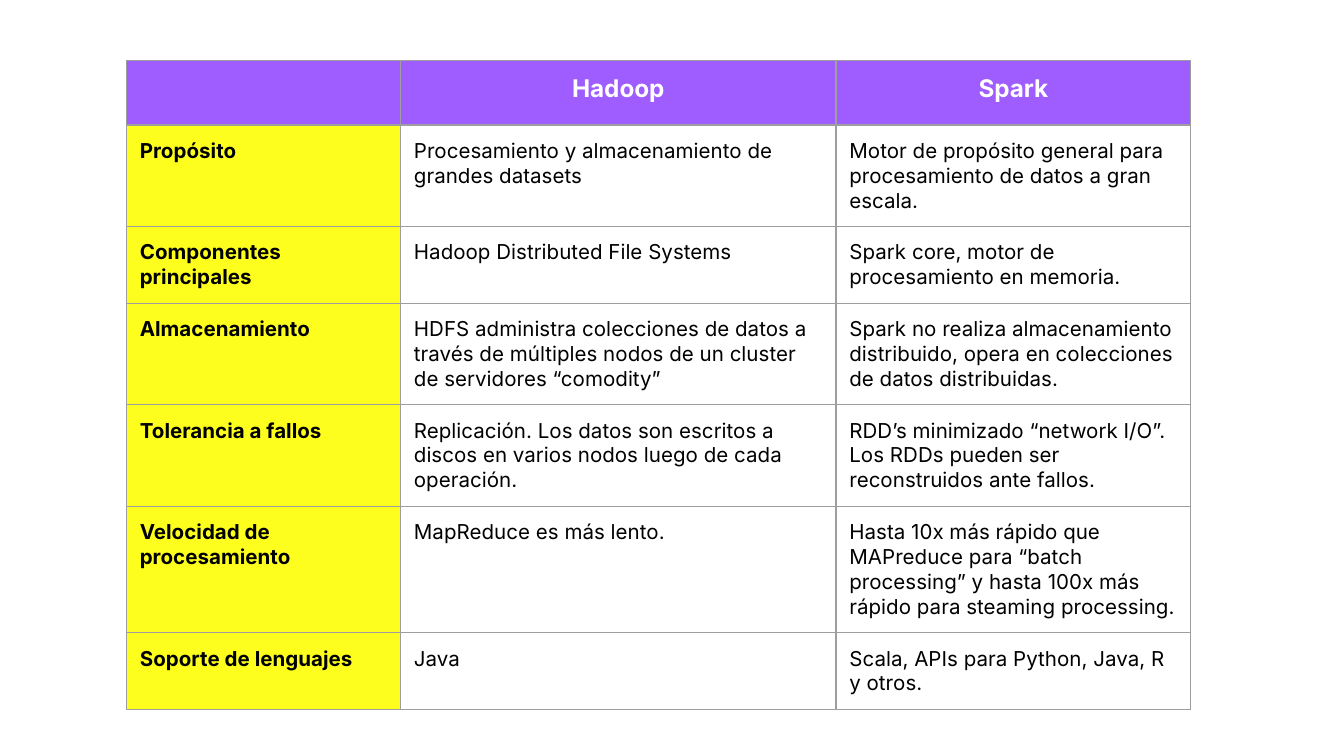
from lxml.etree import SubElement
from pptx import Presentation
from pptx.dml.color import RGBColor
from pptx.enum.text import PP_ALIGN
from pptx.oxml.ns import qn
from pptx.util import Inches, Pt

PURPLE = RGBColor(0x9F, 0x5C, 0xFF)
YELLOW = RGBColor(0xFE, 0xFE, 0x1E)
WHITE = RGBColor(0xFF, 0xFF, 0xFF)
BLACK = RGBColor(0, 0, 0)
GRAY = RGBColor(0x9E, 0x9E, 0x9E)

COLUMN_WIDTHS = [2.04, 3.24, 2.64]
HEADER_HEIGHT, ROW_HEIGHT = 0.48, 0.42
COMPARISON = [
    ("", "Hadoop", "Spark"),
    ("Propósito",
     "Procesamiento y almacenamiento de grandes datasets",
     "Motor de propósito general para procesamiento de datos a gran escala."),
    ("Componentes principales",
     "Hadoop Distributed File Systems",
     "Spark core, motor de procesamiento en memoria."),
    ("Almacenamiento",
     "HDFS administra colecciones de datos a través de múltiples nodos "
     "de un cluster de servidores “comodity”",
     "Spark no realiza almacenamiento distribuido, opera en colecciones "
     "de datos distribuidas."),
    ("Tolerancia a fallos",
     "Replicación. Los datos son escritos a discos en varios nodos luego "
     "de cada operación.",
     "RDD’s minimizado “network I/O”. Los RDDs pueden ser reconstruidos "
     "ante fallos."),
    ("Velocidad de procesamiento",
     "MapReduce es más lento.",
     "Hasta 10x más rápido que MAPreduce para “batch processing” y hasta "
     "100x más rápido para steaming processing."),
    ("Soporte de lenguajes",
     "Java",
     "Scala, APIs para Python, Java, R y otros."),
]
MARGINS = dict.fromkeys(
    ["margin_left", "margin_right", "margin_top", "margin_bottom"], Inches(0.1))


def add_borders(cell):
    properties = cell._tc.get_or_add_tcPr()
    for side in ("lnL", "lnR", "lnT", "lnB"):
        line = SubElement(properties, qn(f"a:{side}"), w=str(Pt(0.75)))
        fill = SubElement(line, qn("a:solidFill"))
        SubElement(fill, qn("a:srgbClr"), val=str(GRAY))


prs = Presentation()
prs.slide_width = Inches(10)
prs.slide_height = prs.slide_width * 9 // 16
slide = prs.slides.add_slide(prs.slide_layouts[6])

total_height = HEADER_HEIGHT + ROW_HEIGHT * (len(COMPARISON) - 1)
table = slide.shapes.add_table(
    len(COMPARISON), len(COLUMN_WIDTHS), Inches(0.94), Inches(0.45),
    Inches(sum(COLUMN_WIDTHS)), Inches(total_height)).table
table.first_row = table.horz_banding = False
for column, width in zip(table.columns, COLUMN_WIDTHS):
    column.width = Inches(width)

for r, texts in enumerate(COMPARISON):
    is_header = r == 0
    table.rows[r].height = Inches(HEADER_HEIGHT if is_header else ROW_HEIGHT)
    for c, text in enumerate(texts):
        is_label = c == 0
        cell = table.cell(r, c)
        for name, value in MARGINS.items():
            setattr(cell, name, value)
        add_borders(cell)
        if is_header or is_label:
            cell.fill.solid()
            cell.fill.fore_color.rgb = PURPLE if is_header else YELLOW
        else:
            cell.fill.background()

        cell.text = text
        paragraph = cell.text_frame.paragraphs[0]
        paragraph.alignment = PP_ALIGN.CENTER if is_header else PP_ALIGN.LEFT
        font_format = {"name": "Inter", "size": Pt(13 if is_header else 11),
                       "bold": is_header or is_label}
        for font in [paragraph.font] + [run.font for run in paragraph.runs]:
            for name, value in font_format.items():
                setattr(font, name, value)
            font.color.rgb = WHITE if is_header else BLACK

prs.save("out.pptx")
